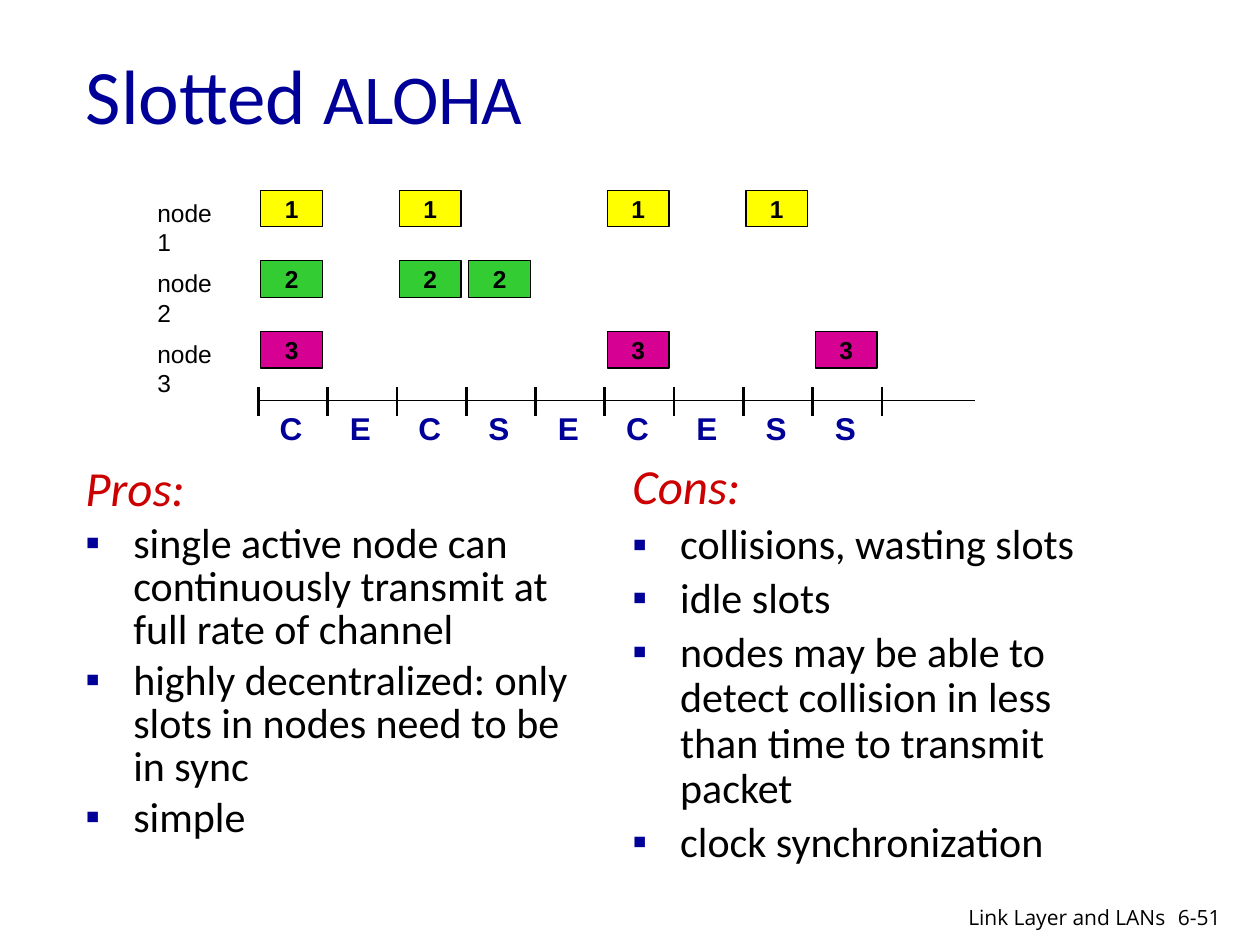
from lxml import etree
from pptx import Presentation
from pptx.dml.color import RGBColor
from pptx.enum import shapes, text
from pptx.oxml import ns
from pptx.util import Inches, Pt

NAVY = RGBColor(0x00, 0x00, 0x99)
RED = RGBColor(0xCC, 0x00, 0x00)
BLACK = RGBColor(0x00, 0x00, 0x00)
YELLOW = RGBColor(0xFF, 0xFF, 0x00)
GREEN = RGBColor(0x33, 0xCC, 0x33)
MAGENTA = RGBColor(0xD6, 0x00, 0x93)
LEFT, CENTER, RIGHT = text.PP_ALIGN.LEFT, text.PP_ALIGN.CENTER, text.PP_ALIGN.RIGHT


class SlideBuilder:
    heading_font = "Calibri"
    label_font = "Arial"
    footer_font = "Open Sans"

    def __init__(self, prs):
        self.slide = prs.slides.add_slide(prs.slide_layouts[5])

    def run(self, p, words, size, color, font, bold=False, italic=False):
        r = p.add_run()
        r.text = words
        f = r.font
        f.size, f.name, f.bold, f.italic = Pt(size), font, bold, italic
        f.color.rgb = color

    def title(self, box, parts):
        sp = self.slide.shapes.title
        sp.left, sp.top, sp.width, sp.height = map(Inches, box)
        tf = sp.text_frame
        tf.auto_size = text.MSO_AUTO_SIZE.NONE
        tf.vertical_anchor = text.MSO_ANCHOR.MIDDLE
        p = tf.paragraphs[0]
        p.alignment = LEFT
        for words, size in parts:
            self.run(p, words, size, NAVY, self.heading_font)

    def text_box(self, box, wrap=True):
        tf = self.slide.shapes.add_textbox(*map(Inches, box)).text_frame
        tf.word_wrap = wrap
        return tf

    def label(self, box, words, size, font, color=BLACK, align=LEFT, bold=False, wrap=False):
        p = self.text_box(box, wrap).paragraphs[0]
        p.alignment = align
        self.run(p, words, size, color, font, bold)

    def frame(self, box, words, fill):
        sp = self.slide.shapes.add_shape(shapes.MSO_SHAPE.RECTANGLE, *map(Inches, box))
        sp.shadow.inherit = False
        sp.fill.solid()
        sp.fill.fore_color.rgb = fill
        sp.line.color.rgb = BLACK
        sp.line.width = Pt(0.75)
        tf = sp.text_frame
        tf.word_wrap = False
        tf.vertical_anchor = text.MSO_ANCHOR.MIDDLE
        p = tf.paragraphs[0]
        p.alignment = CENTER
        self.run(p, words, 14, BLACK, self.label_font, True)

    def line(self, ends, width):
        cxn = self.slide.shapes.add_connector(
            shapes.MSO_CONNECTOR.STRAIGHT, *map(Inches, ends))
        cxn.line.color.rgb = BLACK
        cxn.line.width = Pt(width)
        etree.SubElement(cxn._element.spPr, ns.qn("a:effectLst"))

    def bullet(self, p):
        pPr = p._p.get_or_add_pPr()
        pPr.set("marL", str(Inches(0.38)))
        pPr.set("indent", str(Inches(-0.38)))
        clr = etree.SubElement(pPr, ns.qn("a:buClr"))
        etree.SubElement(clr, ns.qn("a:srgbClr")).set("val", str(NAVY))
        etree.SubElement(pPr, ns.qn("a:buFont")).set("typeface", self.label_font)
        etree.SubElement(pPr, ns.qn("a:buChar")).set("char", "▪")

    def bullet_list(self, box, heading, items, spacing):
        tf = self.text_box(box)
        p = tf.paragraphs[0]
        p.line_spacing, p.space_before = spacing, Pt(5.6)
        self.run(p, heading, 28, RED, self.heading_font, italic=True)
        for item in items:
            p = tf.add_paragraph()
            p.line_spacing, p.space_before = spacing, Pt(4.8)
            self.bullet(p)
            self.run(p, item, 24, BLACK, self.heading_font)


prs = Presentation()
prs.slide_width, prs.slide_height = Inches(10), Inches(7.5)
s = SlideBuilder(prs)
s.title((0.58, 0.12, 5.42, 1.25), [("Slotted ", 44), ("ALOHA", 40)])

s.bullet_list((0.58, 3.65, 4.17, 3.5), "Pros:", [
    "single active node can continuously transmit at full rate of channel",
    "highly decentralized: only slots in nodes need to be in sync",
    "simple",
], 0.85)
s.bullet_list((4.92, 3.62, 4.17, 3.5), "Cons:", [
    "collisions, wasting slots",
    "idle slots",
    "nodes may be able to detect collision in less than time to transmit packet",
    "clock synchronization",
], 0.9)

AXIS_X, AXIS_Y, SLOT = 2.05, 3.18, 0.55
nodes = [(YELLOW, (0, 2, 5, 7)), (GREEN, (0, 2, 3)), (MAGENTA, (0, 5, 8))]
for row, (fill, slots) in enumerate(nodes):
    top = 1.51 + 0.56 * row
    s.label((1.15, top + 0.01, 0.79, 0.33), f"node {row + 1}", 14, s.label_font)
    for slot in slots:
        s.frame((AXIS_X + 0.02 + SLOT * slot, top, 0.49, 0.29), str(row + 1), fill)

s.line((AXIS_X, AXIS_Y, 7.74, AXIS_Y), 0.75)
outcomes = "CECSECESS"
for i in range(len(outcomes) + 1):
    x = AXIS_X + SLOT * i
    s.line((x, 3.07, x, 3.3), 1.5)
for i, outcome in enumerate(outcomes):
    s.label((AXIS_X + 0.07 + SLOT * i, 3.2, 0.38, 0.4), outcome, 18, s.label_font,
            NAVY, CENTER, True)

s.label((9.25, 7.13, 0.6, 0.3), "6-51", 12, s.footer_font, wrap=True)
s.label((6.97, 7.13, 2.38, 0.26), "Link Layer and LANs", 12, s.footer_font,
        align=RIGHT, wrap=True)
prs.save("out.pptx")
